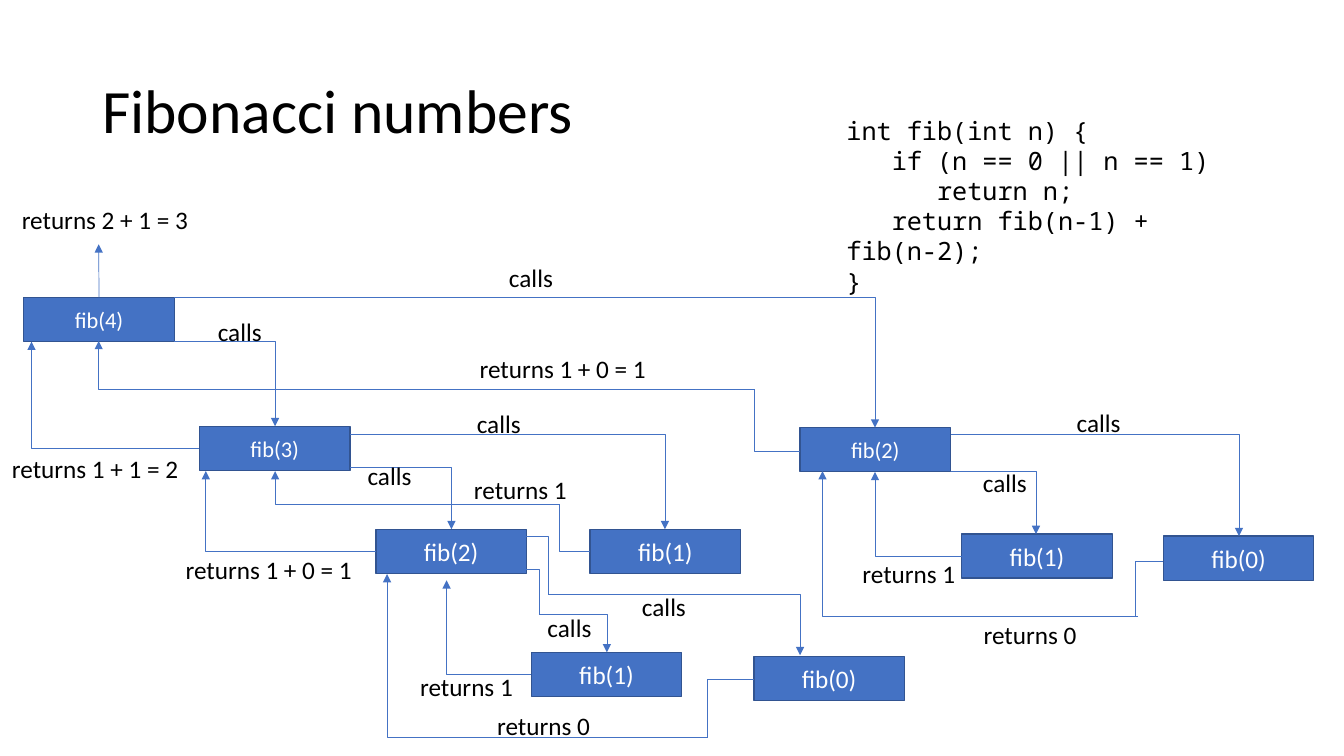
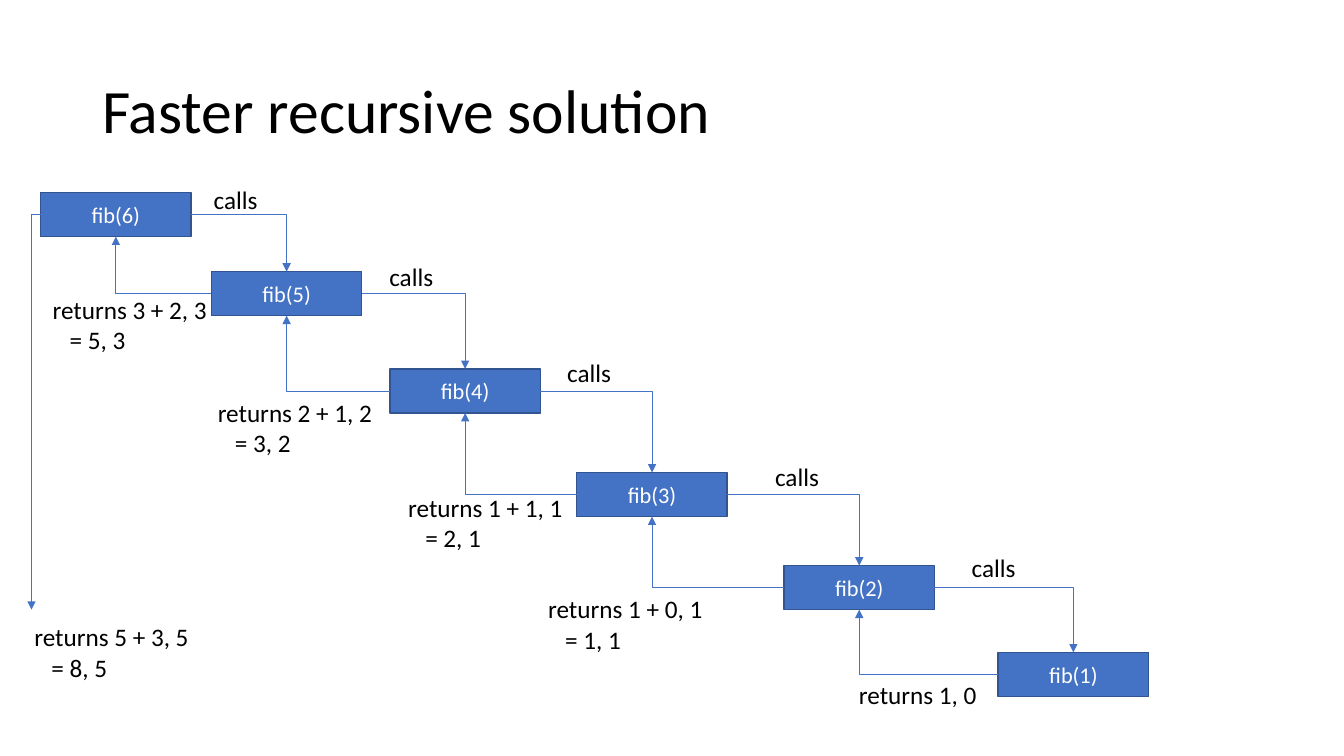
from lxml.etree import SubElement as Sub
from pptx import Presentation
from pptx.dml.color import RGBColor as Rgb
from pptx.enum.shapes import MSO_CONNECTOR as Link, MSO_SHAPE as Shape
from pptx.enum.text import MSO_ANCHOR as Anchor, MSO_AUTO_SIZE as Auto, PP_ALIGN as Align
from pptx.oxml.ns import qn
from pptx.util import Pt


def hue(code):
    """Turn a hex string into a colour."""
    return Rgb.from_string(code)


class Deck:
    """Holds the style and the slide being drawn."""

    sans, mono = "Calibri", "Noto Sans Mono"
    ink, pale, blue, edge = "000000", "FFFFFF", "4472C4", "325491"
    wide, high = 107.5, 31.5

    def __init__(self):
        """Start an empty wide deck."""
        self.file = Presentation()
        self.file.slide_width, self.file.slide_height = Pt(960), Pt(540)

    def page(self, title):
        """Add a slide with its title."""
        self.slide = self.file.slides.add_slide(self.file.slide_layouts[6])
        frame = self.text(66, 29, 828, [title], size=44, high=104)
        frame.auto_size = Auto.NONE
        frame.vertical_anchor = Anchor.MIDDLE
        frame.paragraphs[0].line_spacing = 0.9

    def fill(self, frame, lines, size, tint, face=sans):
        """Fill a frame with one paragraph for each line."""
        style = {"name": face, "size": Pt(size)}
        for i, line in enumerate(lines):
            para = frame.paragraphs[0] if i == 0 else frame.add_paragraph()
            run = para.add_run()
            run.text = line
            for key, value in style.items():
                setattr(run.font, key, value)
            run.font.color.rgb = hue(tint)

    def text(self, x, y, wide, lines, size=18, face=sans, high=29):
        """Add a wrapped text box."""
        frame = self.slide.shapes.add_textbox(Pt(x), Pt(y), Pt(wide), Pt(high)).text_frame
        frame.word_wrap = True
        frame.auto_size = Auto.SHAPE_TO_FIT_TEXT
        self.fill(frame, lines, size, self.ink, face)
        return frame

    def result(self, x, y, *lines):
        """Add a result whose second line is indented."""
        frame = self.text(x, y, 127.5, lines, high=22 * len(lines) + 7)
        for para in frame.paragraphs[1:]:
            para._p.get_or_add_pPr().set("marL", str(Pt(12.2)))

    def box(self, x, y, label, size=16):
        """Add a box for one call."""
        box = self.slide.shapes.add_shape(
            Shape.RECTANGLE, Pt(x), Pt(y), Pt(self.wide), Pt(self.high))
        box.shadow.inherit = False
        box.fill.solid()
        box.fill.fore_color.rgb = hue(self.blue)
        box.line.color.rgb = hue(self.edge)
        box.line.width = Pt(1)
        box.text_frame.vertical_anchor = Anchor.MIDDLE
        self.fill(box.text_frame, [label], size, self.pale)
        box.text_frame.paragraphs[0].alignment = Align.CENTER
        return box

    def line(self, x1, y1, x2, y2, head=True, kind=Link.STRAIGHT):
        """Add a thin line, with an arrowhead if wanted."""
        line = self.slide.shapes.add_connector(kind, Pt(x1), Pt(y1), Pt(x2), Pt(y2))
        line.line.color.rgb = hue(self.blue)
        line.line.width = Pt(0.5)
        if head:
            Sub(line.line._get_or_add_ln(), qn("a:tailEnd"), type="triangle")
        Sub(line._element.spPr, qn("a:effectLst"))
        return line

    def bend(self, x1, y1, x2, y2, head=True):
        """Add a line that goes across, then up or down."""
        props = self.line(x1, y1, x2, y2, head, Link.ELBOW)._element.spPr
        props.find(qn("a:prstGeom")).set("prst", "bentConnector2")
        if x2 < x1:
            frame = props.find(qn("a:xfrm"))
            frame.attrib.pop("flipH", None)
            frame.set("rot", "10800000")
            frame.set("flipV", "1" if y2 > y1 else "0")


def tree(deck):
    """Draw the call tree of the plain function."""
    deck.page("Fibonacci numbers")
    deck.text(597.5, 78.5, 330.5, [
        "int fib(int n) {",
        "   if (n == 0 || n == 1)",
        "      return n;",
        "   return fib(n-1) + fib(n-2);",
        "}",
    ], face=deck.mono, high=117)
    root = deck.box(17, 212.5, "fib(4)")
    for x, y, n, size in [
        (142.5, 304.5, 3, 16), (571.5, 305.5, 2, 16),
        (268.5, 378, 2, 18), (421.5, 378, 1, 18),
        (687, 381.5, 1, 18), (831, 383, 0, 18),
        (379.5, 466, 1, 18), (538.5, 469, 0, 18),
    ]:
        deck.box(x, y, f"fib({n})", size)
    deck.line(70.5, 212.5, 70.5, 174.5).begin_connect(root, 0)
    for route in [
        (124.5, 212.5, 625, 305.5), (124.5, 244, 196.5, 304.5),
        (250, 310.5, 475, 378), (250, 334, 322.5, 378),
        (679, 310.5, 885, 383), (679, 336.5, 740, 381.5),
        (376, 383, 391.5, 424.5, False), (391.5, 424.5, 571.5, 468),
        (376, 407, 385, 439, False), (385, 439, 433.5, 466),
        (142.5, 320.5, 22.5, 244), (268.5, 394, 147, 336.5),
        (571.5, 322.5, 538.5, 278, False), (538.5, 278, 70.5, 243.5),
        (421.5, 394, 399.5, 360, False), (399.5, 360, 196.5, 336.5),
        (687, 397.5, 625, 337), (379.5, 481.5, 319, 414.5),
        (831, 401, 811, 440.5, False), (813, 440.5, 587.5, 336.5),
        (538.5, 485.5, 505.5, 527, False), (505.5, 527, 276.5, 410),
    ]:
        deck.bend(*route)
    for label, wide, spots in [
        ("calls", 107.5, [(356.5, 183.5), (148.5, 222.5), (333.5, 288), (255.5, 325.5),
                          (695, 330.5), (762, 287.5), (451.5, 418.5), (384, 433.5)]),
        ("returns 1", 107.5, [(609, 395.5), (293, 476), (331.5, 335.5)]),
        ("returns 0", 107.5, [(695.5, 439), (348, 503.5)]),
        ("returns 1 + 0 = 1", 147, [(335.5, 248.5), (125.5, 392.5)]),
        ("returns 1 + 1 = 2", 147, [(1.5, 320.5)]),
        ("returns 2 + 1 = 3", 147, [(8.5, 142.5)]),
    ]:
        for x, y in spots:
            deck.text(x, y, wide, [label])


def chain(deck):
    """Draw the single chain of calls of the faster function."""
    deck.page("Faster recursive solution")
    boxes = [(29, 137.5), (151, 194), (278.5, 263.5), (412, 337.5), (560, 404), (713, 466)]
    for i, (x, y) in enumerate(boxes):
        deck.box(x, y, f"fib({6 - i})")
    mid, half = deck.wide / 2, deck.high / 2
    for (x1, y1), (x2, y2) in zip(boxes, boxes[1:]):
        deck.bend(x1 + deck.wide, y1 + half, x2 + mid, y2)
        deck.bend(x2, y2 + half, x1 + mid, y1 + deck.high)
    deck.bend(29, 137.5 + half, 22.5, 435.5)
    for x, y in [(145.5, 128), (271, 183), (398, 251.5), (546.5, 326), (687, 391)]:
        deck.text(x, y, 62, ["calls"])
    for note in [
        (17.5, 440.5, "returns 5 + 3, 5", "= 8, 5"),
        (30.5, 206.5, "returns 3 + 2, 3", "= 5, 3"),
        (148.5, 280, "returns 2 + 1, 2", "= 3, 2"),
        (284.5, 348, "returns 1 + 1, 1", "= 2, 1"),
        (384.5, 420.5, "returns 1 + 0, 1", "= 1, 1"),
        (606.5, 481.5, "returns 1, 0"),
    ]:
        deck.result(*note)


def main():
    """Build both slides and save them."""
    deck = Deck()
    tree(deck)
    chain(deck)
    deck.file.save("out.pptx")


if __name__ == "__main__":
    main()
